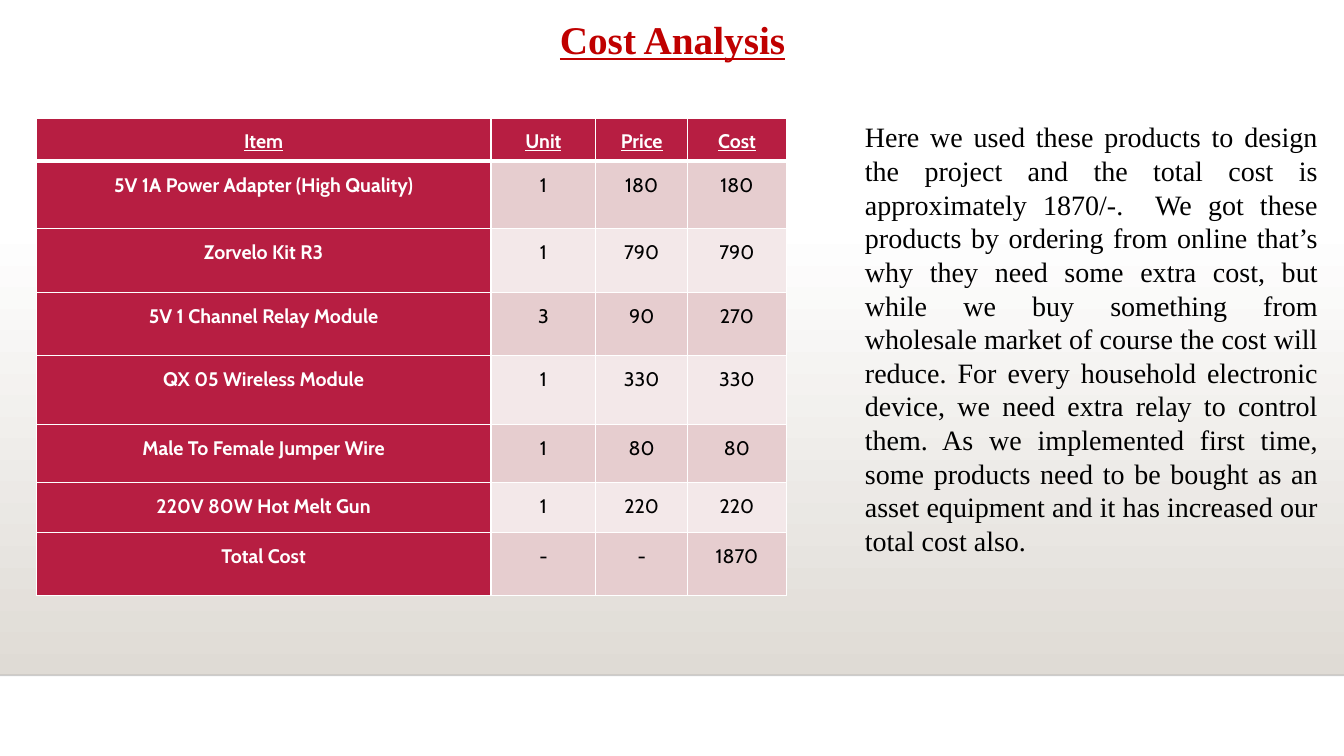
from lxml import etree
from pptx import Presentation, util as u
from pptx.dml.color import RGBColor
from pptx.enum import shapes, text
from pptx.oxml.ns import qn

WIDTH, HEIGHT = u.Inches(13.33), u.Inches(7.5)
COLORS = {
    "white": "FFFFFF", "black": "000000", "title": "C00000",
    "crimson": "B71E42", "band_dark": "E6CDCF", "band_light": "F3E8E9",
    "floor": "DFDBD5", "edge": "000001",
}
COLUMN_WIDTHS = [4.51, 1.04, 0.91, 0.98]
ROW_HEIGHTS = [0.43, 0.67, 0.63, 0.63, 0.68, 0.58, 0.49, 0.63]
COSTS = [
    ("Item", "Unit", "Price", "Cost"),
    ("5V 1A Power Adapter (High Quality)", "1", "180", "180"),
    ("Zorvelo Kit R3", "1", "790", "790"),
    ("5V 1 Channel Relay Module", "3", "90", "270"),
    ("QX 05 Wireless Module", "1", "330", "330"),
    ("Male To Female Jumper Wire", "1", "80", "80"),
    ("220V 80W Hot Melt Gun", "1", "220", "220"),
    ("Total Cost", "-", "-", "1870"),
]
EXPLANATION = (
    "Here we used these products to design the project and the total cost is "
    "approximately 1870/-.  We got these products by ordering from online "
    "that’s why they need some extra cost, but while we buy something from "
    "wholesale market of course the cost will reduce. For every household "
    "electronic device, we need extra relay to control them. As we "
    "implemented first time, some products need to be bought as an asset "
    "equipment and it has increased our total cost also."
)


def rgb(name):
    return RGBColor.from_string(COLORS[name])


def write(frame, words, size=14, font="Times New Roman", color="black",
          bold=False, underline=False, align=text.PP_ALIGN.CENTER,
          spacing=1.0, before=0, after=0):
    paragraph = frame.paragraphs[0]
    paragraph.alignment = align
    paragraph.line_spacing = spacing
    paragraph.space_before, paragraph.space_after = u.Pt(before), u.Pt(after)
    run = paragraph.add_run()
    run.text = words
    run.font.size, run.font.name = u.Pt(size), font
    run.font.bold, run.font.underline = bold, underline
    run.font.color.rgb = rgb(color)


def add_backdrop(slide):
    top, bottom = u.Inches(2.21), u.Inches(6.7)
    floor = slide.shapes.add_shape(
        shapes.MSO_SHAPE.RECTANGLE, 0, top, WIDTH, bottom - top)
    floor.shadow.inherit = False
    floor.line.fill.background()
    floor.fill.gradient()
    floor.fill.gradient_angle = 270
    for stop, name in zip(floor.fill.gradient_stops, ("white", "floor")):
        stop.color.rgb = rgb(name)

    # Thin translucent edge under the gradient
    edge = slide.shapes.add_connector(
        shapes.MSO_CONNECTOR.STRAIGHT, 0, bottom, WIDTH, bottom)
    edge.line.width = u.Pt(1)
    edge.line.color.rgb = rgb("edge")
    properties = edge._element.spPr
    edge_color = properties.find(".//" + qn("a:srgbClr"))
    etree.SubElement(edge_color, qn("a:alpha"), val="20000")
    etree.SubElement(properties, qn("a:effectLst"))


def add_title(slide):
    title = slide.shapes.title
    title.left, title.top = u.Inches(1.16), u.Inches(0.1)
    title.width, title.height = u.Inches(11.02), u.Inches(0.57)
    title.text_frame.vertical_anchor = text.MSO_ANCHOR.MIDDLE
    write(title.text_frame, "Cost Analysis", size=28, color="title",
          bold=True, underline=True)


def add_borders(cell, bottom_width):
    properties = cell._tc.get_or_add_tcPr()
    for side, width in (("L", 1), ("R", 1), ("T", 1), ("B", bottom_width)):
        line = etree.SubElement(properties, qn(f"a:ln{side}"),
                                w=str(u.Pt(width)))
        fill = etree.SubElement(line, qn("a:solidFill"))
        etree.SubElement(fill, qn("a:srgbClr"), val=COLORS["white"])


def add_cost_table(slide):
    table = slide.shapes.add_table(
        len(COSTS), len(COLUMN_WIDTHS), u.Inches(0.36), u.Inches(1.17),
        u.Inches(sum(COLUMN_WIDTHS)), u.Inches(sum(ROW_HEIGHTS))).table
    table.first_col = True
    for column, width in zip(table.columns, COLUMN_WIDTHS):
        column.width = u.Inches(width)
    for row, height in zip(table.rows, ROW_HEIGHTS):
        row.height = u.Inches(height)

    for r, entry in enumerate(COSTS):
        for c, value in enumerate(entry):
            cell = table.cell(r, c)
            header = r == 0
            strong = header or c == 0
            band = "band_dark" if r % 2 else "band_light"
            cell.margin_left = cell.margin_right = u.Inches(0.07)
            cell.margin_top = cell.margin_bottom = 0
            add_borders(cell, 3 if header else 1)
            cell.fill.solid()
            cell.fill.fore_color.rgb = rgb("crimson" if strong else band)
            write(cell.text_frame, value, font="Cabin", bold=strong,
                  color="white" if strong else "black", underline=header,
                  spacing=1.5, before=5, after=10)


def add_explanation(slide):
    frame = slide.shapes.add_textbox(
        u.Inches(8.48), u.Inches(0.99), u.Inches(4.69),
        u.Inches(4.91)).text_frame
    frame.word_wrap = True
    frame.margin_top = u.Inches(0.2)
    write(frame, EXPLANATION, size=20, align=text.PP_ALIGN.JUSTIFY,
          spacing=u.Pt(24))


def main():
    deck = Presentation()
    deck.slide_width, deck.slide_height = WIDTH, HEIGHT
    slide = deck.slides.add_slide(deck.slide_layouts.get_by_name("Title Only"))
    add_backdrop(slide)
    add_title(slide)
    add_cost_table(slide)
    add_explanation(slide)
    deck.save("out.pptx")


if __name__ == "__main__":
    main()
